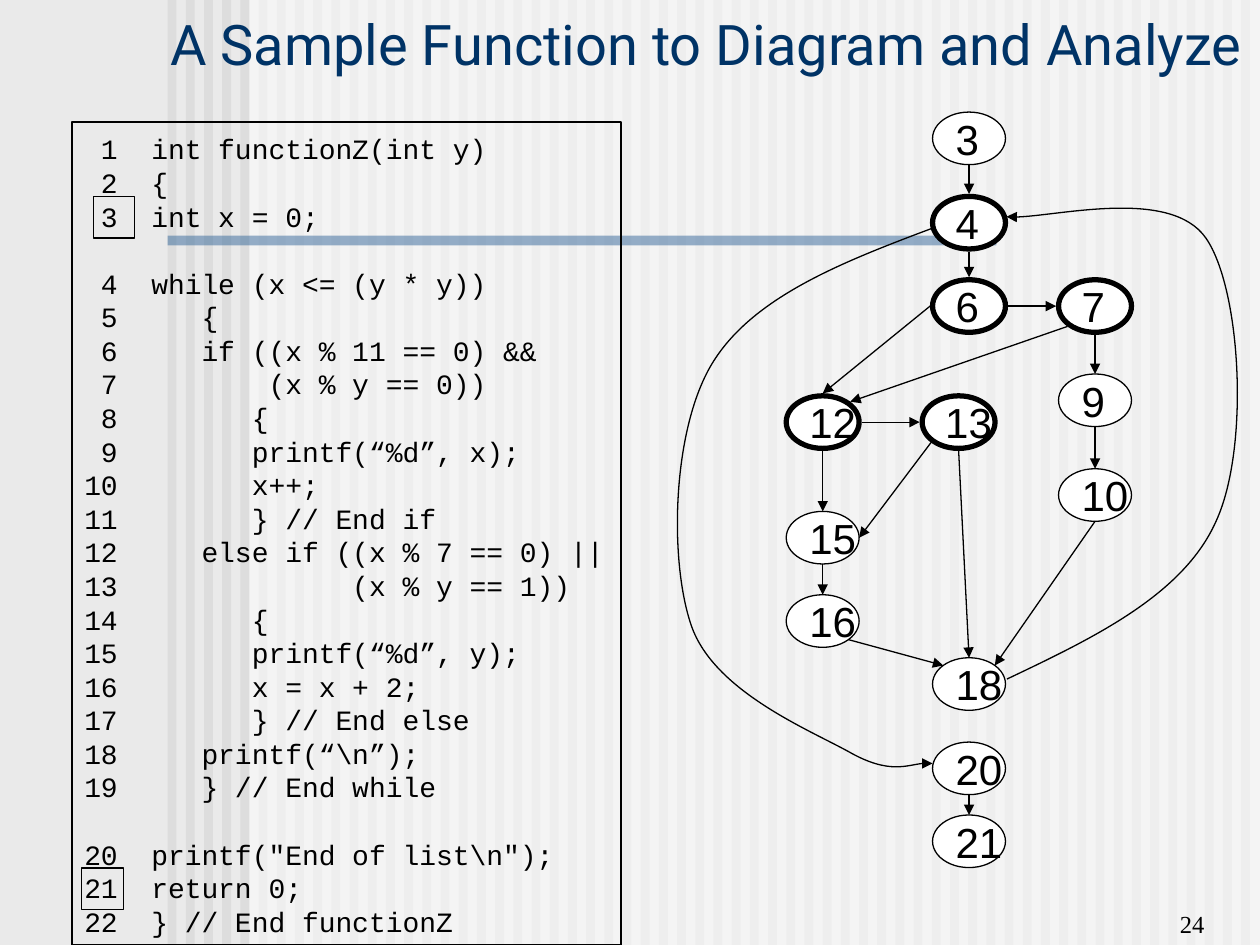
from math import cos, radians, sin

from pptx import Presentation
from pptx.dml.color import RGBColor
from pptx.enum.shapes import MSO_CONNECTOR, MSO_SHAPE
from pptx.enum.text import MSO_ANCHOR, PP_ALIGN
from pptx.oxml.ns import qn
from pptx.util import Cm, Pt
from lxml.etree import SubElement

COLORS = {"ground": "EAEAEA", "stripe": "DDDDDD", "white": "FFFFFF",
          "bar": "336699", "title": "003366", "ink": "000000"}

TITLE = "A Sample Function to Diagram and Analyze"
PAGE_NUMBER = "24"
CODE = [
    "int functionZ(int y)",
    "{",
    "int x = 0;",
    "while (x <= (y * y))",
    "   {",
    "   if ((x % 11 == 0) &&",
    "       (x % y == 0))",
    "      {",
    "      printf(“%d”, x);",
    "      x++;",
    "      } // End if",
    "   else if ((x % 7 == 0) ||",
    "            (x % y == 1))",
    "      {",
    "      printf(“%d”, y);",
    "      x = x + 2;",
    "      } // End else",
    "   printf(“\\n”);",
    "   } // End while",
    'printf("End of list\\n");',
    "return 0;",
    "} // End functionZ",
]
LINES_AFTER_GAP = {4, 20}
LINE_MARKS = [(1.88, 3.96), (1.65, 17.5)]  # squares around 3 and 21

# Flow graph: left and top of each node, in cm
NODES = {
    3: (18.8, 2.26), 4: (18.8, 3.96), 6: (18.8, 5.64), 7: (21.34, 5.64),
    9: (21.34, 7.54), 10: (21.34, 9.45), 12: (15.85, 7.98),
    13: (18.59, 7.98), 15: (15.85, 10.31), 16: (15.85, 11.99),
    18: (18.8, 13.26), 20: (18.8, 14.96), 21: (18.8, 16.43),
}
DECISIONS = {4, 6, 7, 12, 13}
NODE_WIDTH, NODE_HEIGHT = 1.47, 1.06
ANGLES = {"right": 0, "bottom right": 45, "bottom": 90, "bottom left": 135,
          "left": 180, "top left": 225, "top": 270, "top right": 315}
EDGES = [
    (3, "bottom", 4, "top"), (4, "bottom", 6, "top"),
    (6, "right", 7, "left"), (7, "bottom", 9, "top"),
    (9, "bottom", 10, "top"), (10, "bottom", 18, "top right"),
    (6, "left", 12, "top"), (7, "bottom left", 12, "top right"),
    (12, "bottom", 15, "top"), (12, "right", 13, "left"),
    (13, "bottom left", 15, "right"), (13, "bottom", 18, "top"),
    (15, "bottom", 16, "top"), (16, "bottom right", 18, "top left"),
    (20, "bottom", 21, "top"),
]
# Start point, then three Bezier points for each segment
LOOP_BACK = [(20.3, 13.69),
             (22.07, 12.85), (23.85, 11.99), (24.51, 10.52),
             (25.2, 9.04), (25.02, 5.82), (24.31, 4.8),
             (23.6, 3.78), (20.96, 4.45), (20.29, 4.37)]
LOOP_EXIT = [(18.8, 4.6),
             (16.99, 5.28), (15.16, 5.99), (14.35, 7.34),
             (13.54, 8.69), (13.49, 11.33), (13.94, 12.62),
             (14.4, 13.94), (16.31, 14.71), (17.12, 15.16),
             (17.93, 15.62), (18.52, 15.34), (18.8, 15.39)]


def color(name):
    return RGBColor.from_string(COLORS[name])


def add_box(page, kind, left, top, width, height, fill=None, line=None, alpha=None):
    box = page.shapes.add_shape(kind, Cm(left), Cm(top), Cm(width), Cm(height))
    box.shadow.inherit = False
    if fill:
        box.fill.solid()
        box.fill.fore_color.rgb = color(fill)
    else:
        box.fill.background()
    if alpha:
        tint = box.fill._xPr.find(qn("a:solidFill"))[0]
        SubElement(tint, qn("a:alpha"), val=str(alpha * 1000))
    if line:
        box.line.color.rgb = color("ink")
        box.line.width = Pt(line)
    else:
        box.line.fill.background()
    return box


def style(para, font, size, ink="ink", align=PP_ALIGN.LEFT):
    para.alignment = align
    para.font.name = font
    para.font.size = Pt(size)
    para.font.color.rgb = color(ink)


def add_label(page, text, left, top, width, height, *styling):
    frame = page.shapes.add_textbox(Cm(left), Cm(top), Cm(width), Cm(height)).text_frame
    frame.word_wrap = True
    frame.vertical_anchor = MSO_ANCHOR.BOTTOM
    frame.text = text
    style(frame.paragraphs[0], *styling)


def add_background(page):
    page.background.fill.solid()
    page.background.fill.fore_color.rgb = color("ground")
    for index in range(60):
        add_box(page, MSO_SHAPE.RECTANGLE, 3.38 + index * 21.64 / 59, 0, 0.18, 19.05, "stripe")
    add_box(page, MSO_SHAPE.RECTANGLE, 5.03, 0, 20.37, 19.05, "white", alpha=50)
    add_box(page, MSO_SHAPE.RECTANGLE, 3.38, 4.75, 16.71, 0.2, "bar", alpha=50)


def add_code(page):
    frame = add_box(page, MSO_SHAPE.RECTANGLE, 1.45, 2.46, 11.07, 16.59, line=0.75).text_frame
    frame.word_wrap = True
    frame.vertical_anchor = MSO_ANCHOR.TOP
    frame.margin_top, frame.margin_right = Cm(0.2), 0
    for number, code in enumerate(CODE, 1):
        para = frame.paragraphs[0] if number == 1 else frame.add_paragraph()
        para.text = f"{number:>2}  {code}"
        style(para, "Courier New", 16)
        para.line_spacing = Pt(19.2)
        if number in LINES_AFTER_GAP:
            para.space_before = Pt(19.2)
    for left, top in LINE_MARKS:
        add_box(page, MSO_SHAPE.RECTANGLE, left, top, 0.84, 0.84, line=0.75)


def add_node(page, number):
    weight = 3 if number in DECISIONS else 0.75
    node = add_box(page, MSO_SHAPE.OVAL, *NODES[number], NODE_WIDTH, NODE_HEIGHT, "white", weight)
    frame = node.text_frame
    frame.word_wrap = False
    frame.vertical_anchor = MSO_ANCHOR.MIDDLE
    frame.text = str(number)
    style(frame.paragraphs[0], "Arial", 24)


def node_site(number, side):
    """Point on the rim of a node, just outside a thick outline."""
    left, top = NODES[number]
    outset = 0.05 if number in DECISIONS else 0
    angle = radians(ANGLES[side])
    return (Cm(left + NODE_WIDTH / 2 + (NODE_WIDTH / 2 + outset) * cos(angle)),
            Cm(top + NODE_HEIGHT / 2 + (NODE_HEIGHT / 2 + outset) * sin(angle)))


def finish_arrow(arrow):
    arrow.line.color.rgb = color("ink")
    arrow.line.width = Pt(0.75)
    SubElement(arrow.line._get_or_add_ln(), qn("a:tailEnd"), type="triangle")


def add_edge(page, source, source_side, target, target_side):
    edge = page.shapes.add_connector(MSO_CONNECTOR.STRAIGHT, *node_site(source, source_side),
                                     *node_site(target, target_side))
    finish_arrow(edge)
    SubElement(edge._element.spPr, qn("a:effectLst"))


def add_curve(page, points):
    """Draw a freeform whose points are then grouped into Bezier segments."""
    start, *others = [(Cm(x), Cm(y)) for x, y in points]
    builder = page.shapes.build_freeform(*start)
    builder.add_line_segments(others, close=False)
    curve = builder.convert_to_shape()
    curve.fill.background()
    curve.shadow.inherit = False
    finish_arrow(curve)
    outline = next(curve._element.iter(qn("a:path")))
    steps = outline.findall(qn("a:lnTo"))
    for first in range(0, len(steps), 3):
        bezier = SubElement(outline, qn("a:cubicBezTo"))
        for step in steps[first:first + 3]:
            bezier.append(step[0])
            outline.remove(step)


def main():
    deck = Presentation()
    deck.slide_width, deck.slide_height = Cm(25.4), Cm(19.05)
    page = deck.slides.add_slide(deck.slide_layouts[6])
    add_background(page)
    add_label(page, PAGE_NUMBER, 19.25, 17.78, 5.28, 1.27,
              "Times New Roman", 14, "ink", PP_ALIGN.RIGHT)
    add_label(page, TITLE, 3.18, -0.43, 24.33, 2.11, "Roboto", 32, "title")
    add_code(page)
    for number in NODES:
        add_node(page, number)
    for edge in EDGES:
        add_edge(page, *edge)
    for points in (LOOP_BACK, LOOP_EXIT):
        add_curve(page, points)
    deck.save("out.pptx")


if __name__ == "__main__":
    main()
